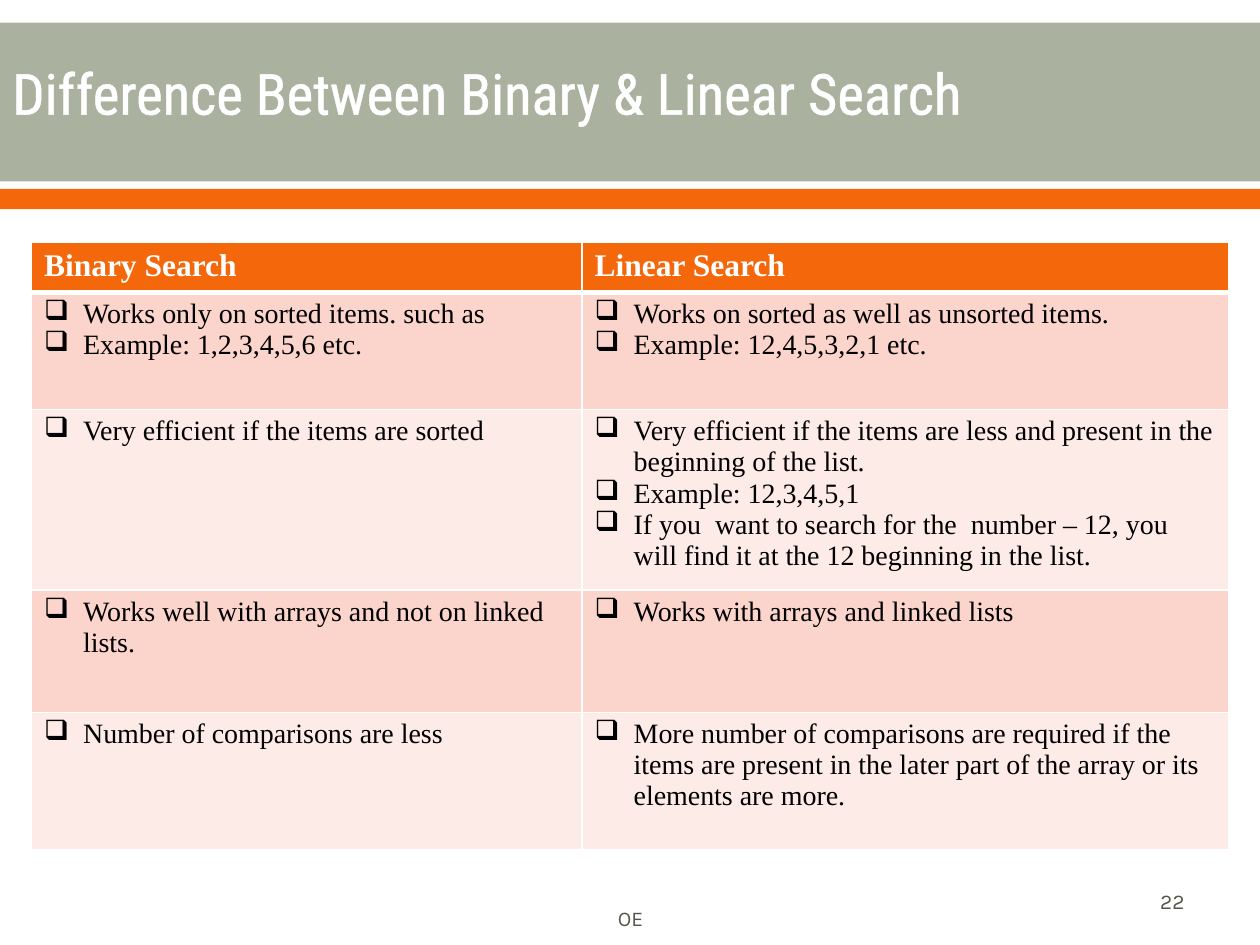
from dataclasses import dataclass

from lxml import etree
from pptx import Presentation
from pptx import util as u
from pptx.dml.color import RGBColor
from pptx.enum import shapes, text
from pptx.oxml.ns import qn


@dataclass(frozen=True)
class Theme:
    sage: str = "ABB19F"
    orange: str = "F4680B"
    white: str = "FFFFFF"
    black: str = "000000"
    grey: str = "55554A"
    bands: tuple = ("FBD4CC", "FDEBE7")
    head: str = "Roboto Condensed"
    body: str = "Times New Roman"
    foot: str = "Karla"
    title_pt: float = 32.4
    head_pt: int = 18
    body_pt: int = 16
    foot_pt: int = 12


def outline(parent, tag, color, points):
    """Build a solid line element under parent."""
    line = etree.SubElement(parent, qn(tag), w=str(u.Pt(points)))
    fill = etree.SubElement(line, qn("a:solidFill"))
    etree.SubElement(fill, qn("a:srgbClr"), val=color)
    return line


class Deck:
    def __init__(self, theme):
        self.theme = theme
        self.prs = Presentation()
        self.prs.slide_width = u.Inches(10)
        self.prs.slide_height = u.Inches(7.5)
        self.slide = self.prs.slides.add_slide(self.prs.slide_layouts[6])

    def style(self, frame, face, size, color, bold=False, align=None):
        for para in frame.paragraphs:
            para.alignment = align
            for run in para.runs:
                font = run.font
                font.name, font.size, font.bold = face, u.Pt(size), bold
                font.color.rgb = RGBColor.from_string(color)

    def band(self, top, height, color):
        bar = self.slide.shapes.add_shape(
            shapes.MSO_SHAPE.RECTANGLE, 0, u.Inches(top),
            self.prs.slide_width, u.Inches(height))
        bar.shadow.inherit = False
        bar.fill.solid()
        bar.fill.fore_color.rgb = RGBColor.from_string(color)
        bar.line.fill.background()

    def label(self, words, box, face, size, color, align=None):
        frame = self.slide.shapes.add_textbox(*map(u.Inches, box)).text_frame
        frame.word_wrap = True
        frame.vertical_anchor = text.MSO_ANCHOR.MIDDLE
        frame.text = words
        self.style(frame, face, size, color, align=align)
        return frame

    def title(self, words, box):
        look = self.theme
        frame = self.label(words, box, look.head, look.title_pt, look.white)
        props = frame.paragraphs[0].runs[0].font._element
        props.insert(0, outline(props, "a:ln", look.white, 1.1))

    def bullet(self, para):
        props = para._p.get_or_add_pPr()
        props.set("marL", str(u.Inches(0.31)))
        props.set("indent", str(u.Inches(-0.31)))
        etree.SubElement(props, qn("a:buChar"), char="❑")

    def cell(self, cell, words, row):
        look = self.theme
        header = row == 0
        # Borders come before the fill in the cell properties
        props = cell._tc.get_or_add_tcPr()
        for side in "LRTB":
            thick = (header and side == "B") or (row == 1 and side == "T")
            outline(props, f"a:ln{side}", look.white, 3 if thick else 1)
        cell.fill.solid()
        color = look.orange if header else look.bands[(row - 1) % 2]
        cell.fill.fore_color.rgb = RGBColor.from_string(color)

        frame = cell.text_frame
        frame.text = words
        if header:
            self.style(frame, look.body, look.head_pt, look.white, bold=True)
        else:
            for para in frame.paragraphs:
                self.bullet(para)
            self.style(frame, look.body, look.body_pt, look.black)

    def table(self, rows, left, top, widths, heights):
        grid = self.slide.shapes.add_table(
            len(rows), len(widths), u.Inches(left), u.Inches(top),
            u.Inches(sum(widths)), u.Inches(sum(heights))).table
        for col, width in zip(grid.columns, widths):
            col.width = u.Inches(width)
        for r, (row, height) in enumerate(zip(rows, heights)):
            grid.rows[r].height = u.Inches(height)
            for c, words in enumerate(row):
                self.cell(grid.cell(r, c), words, r)


ROWS = [
    ("Binary Search", "Linear Search"),
    ("Works only on sorted items. such as\nExample: 1,2,3,4,5,6 etc.",
     "Works on sorted as well as unsorted items.\n"
     "Example: 12,4,5,3,2,1 etc."),
    ("Very efficient if the items are sorted",
     "Very efficient if the items are less and present in the "
     "beginning of the list.\n"
     "Example: 12,3,4,5,1\n"
     "If you  want to search for the  number – 12, you will find it "
     "at the 12 beginning in the list."),
    ("Works well with arrays and not on linked lists.",
     "Works with arrays and linked lists"),
    ("Number of comparisons are less",
     "More number of comparisons are required if the items are present "
     "in the later part of the array or its elements are more."),
]


def main():
    look = Theme()
    deck = Deck(look)

    # Title bands
    deck.band(0.18, 1.26, look.sage)
    deck.band(1.5, 0.16, look.orange)
    deck.title("Difference Between Binary & Linear Search", (0, 0.42, 9, 0.62))

    # Footer and page number
    foot = (look.foot, look.foot_pt, look.grey)
    deck.label("OE", (3.42, 7.09, 3.17, 0.4), *foot, text.PP_ALIGN.CENTER)
    deck.label("22", (7.17, 6.95, 2.33, 0.4), *foot, text.PP_ALIGN.RIGHT)

    # Comparison table
    deck.table(ROWS, 0.25, 1.92, (4.37, 5.13), (0.4, 0.93, 1.33, 0.97, 1.09))

    deck.prs.save("out.pptx")


if __name__ == "__main__":
    main()
